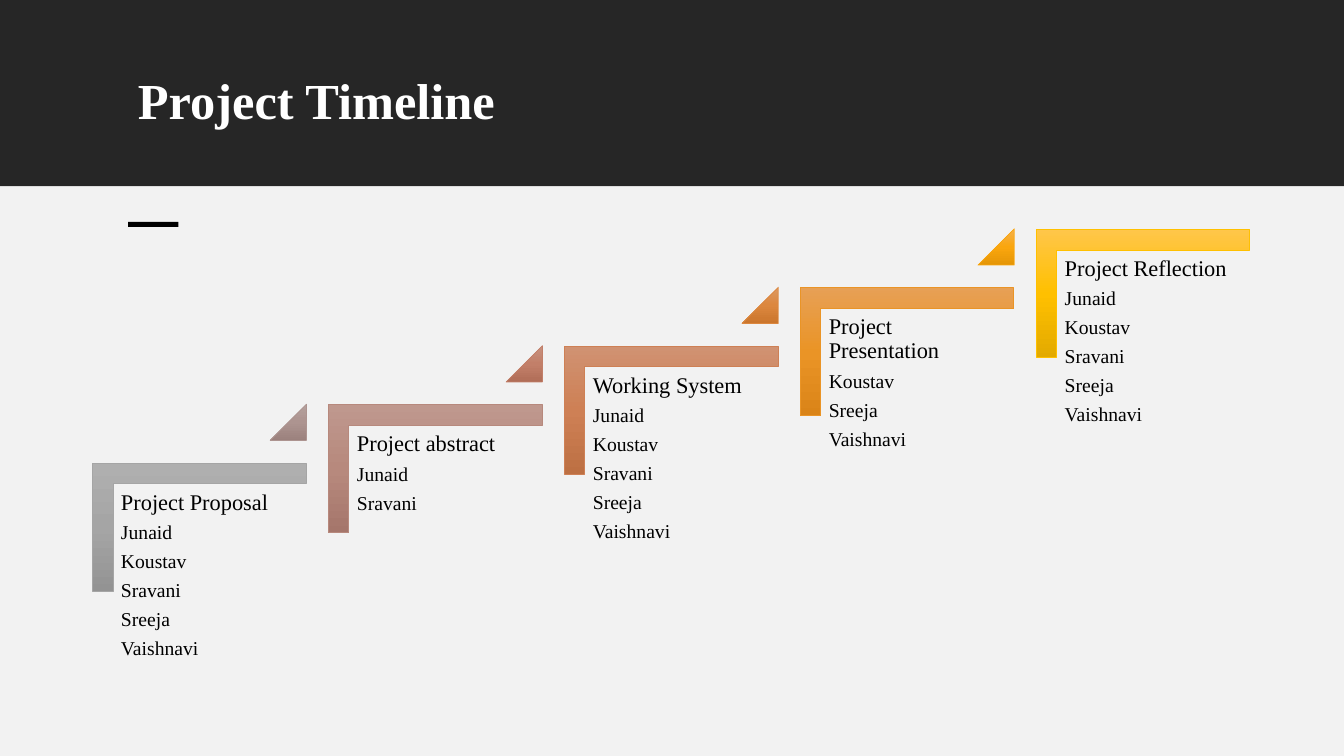
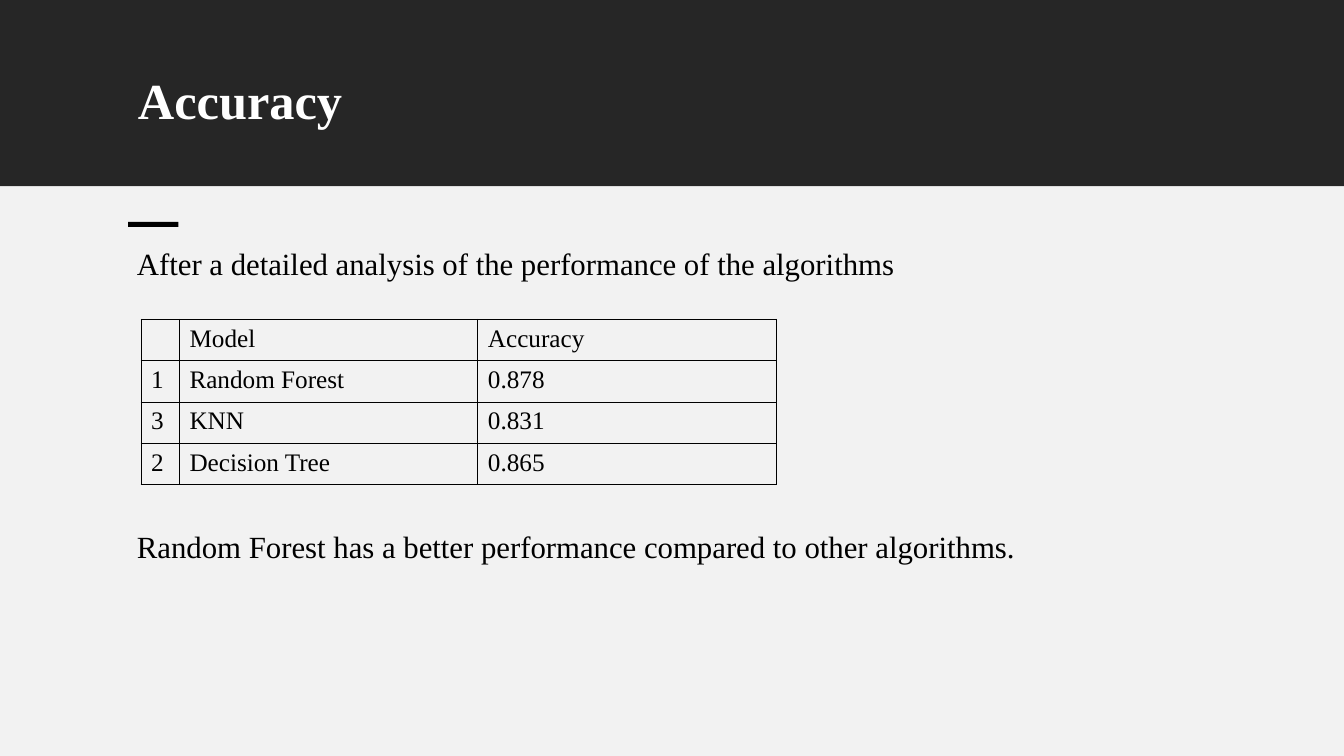
from lxml import etree
from pptx import Presentation
from pptx import util as u
from pptx.dml import color
from pptx.enum import shapes, text
from pptx.oxml import ns, parse_xml

FONT = "Times New Roman"
BLACK, WHITE, BAND, PANEL = "000000", "FFFFFF", "262626", "F2F2F2"
WIDTH, HEIGHT, BAND_HEIGHT = 13.33, 7.5, 1.85
MARGIN = 1.27
STEP_X, STEP_Y = 2.34, -0.58


def rgb(value):
    return color.RGBColor.from_string(value)


def put_text(p, value, size=18, bold=False, fill=BLACK, line=None, after=None):
    p.line_spacing = line
    if after is not None:
        p.space_after = u.Pt(after)
    r = p.add_run()
    r.text = value
    r.font.name = FONT
    r.font.size = u.Pt(size)
    r.font.bold = bold
    r.font.color.rgb = rgb(fill)


def gradient(sp, colors):
    stops = "".join(
        f'<a:gs pos="{i * 50000}"><a:srgbClr val="{c}"/></a:gs>'
        for i, c in enumerate(colors)
    )
    sp.fill.background()
    old = sp.element.spPr.find(ns.qn("a:noFill"))
    new = parse_xml(
        f'<a:gradFill {ns.nsdecls("a")} rotWithShape="0"><a:gsLst>{stops}</a:gsLst>'
        '<a:lin ang="5400000" scaled="0"/></a:gradFill>'
    )
    sp.element.spPr.replace(old, new)


def border(cell, value, width):
    tc_pr = cell._tc.get_or_add_tcPr()
    for i, side in enumerate(("lnL", "lnR", "lnT", "lnB")):
        ln = etree.Element(ns.qn(f"a:{side}"), w=str(u.Pt(width)))
        fill = etree.SubElement(ln, ns.qn("a:solidFill"))
        etree.SubElement(fill, ns.qn("a:srgbClr"), val=value)
        tc_pr.insert(i, ln)


class Deck:
    def __init__(self):
        self.prs = Presentation()
        self.prs.slide_width = u.Inches(WIDTH)
        self.prs.slide_height = u.Inches(HEIGHT)
        self.s = None

    def slide(self, title):
        self.s = self.prs.slides.add_slide(self.prs.slide_layouts[6])
        self.rect(0, 0, WIDTH, BAND_HEIGHT, BAND)
        self.rect(0, BAND_HEIGHT, WIDTH, HEIGHT - BAND_HEIGHT, PANEL)
        self.rect(MARGIN, 2.2, 0.5, 0.05, BLACK)
        self.text(MARGIN, 0.7, 10.81, 0.98, [(title, 36)], bold=True, fill=WHITE)

    def shape(self, kind, x, y, w, h):
        sp = self.s.shapes.add_shape(kind, *map(u.Inches, (x, y, w, h)))
        sp.shadow.inherit = False
        return sp

    def rect(self, x, y, w, h, fill):
        sp = self.shape(shapes.MSO_SHAPE.RECTANGLE, x, y, w, h)
        sp.fill.solid()
        sp.fill.fore_color.rgb = rgb(fill)
        sp.line.fill.background()

    def shaded(self, kind, x, y, w, h, colors, adjust, turn=0):
        sp = self.shape(kind, x, y, w, h)
        for i, value in enumerate(adjust):
            sp.adjustments[i] = value
        sp.rotation = turn
        gradient(sp, colors)
        sp.line.color.rgb = rgb(colors[1])
        sp.line.width = u.Pt(0.5)

    def text(self, x, y, w, h, lines, inset=(0.1, 0.05), **style):
        tf = self.s.shapes.add_textbox(*map(u.Inches, (x, y, w, h))).text_frame
        tf.word_wrap = True
        tf.vertical_anchor = text.MSO_ANCHOR.TOP
        tf.margin_left = tf.margin_right = u.Inches(inset[0])
        tf.margin_top = tf.margin_bottom = u.Inches(inset[1])
        for i, (value, size) in enumerate(lines):
            p = tf.add_paragraph() if i else tf.paragraphs[0]
            put_text(p, value, size, line=0.9, **style)

    def step(self, x, y, heading, names, colors, arrow):
        self.shaded(shapes.MSO_SHAPE.CORNER, x, y, 1.27, 2.12, colors, (0.161, 0.161), 90)
        lines = [(heading, 16)] + [(name, 14) for name in names]
        self.text(x - 0.21, y + 0.63, 1.91, 1.68, lines, (0.07, 0.07), after=5.5)
        if arrow:
            self.shaded(shapes.MSO_SHAPE.ISOSCELES_TRIANGLE, x + 1.34, y - 0.16,
                        0.36, 0.36, arrow, (1,))

    def table(self, x, y, widths, row_height, rows):
        frame = self.s.shapes.add_table(
            len(rows), len(widths),
            *map(u.Inches, (x, y, sum(widths), row_height * len(rows))))
        table = frame.table
        table.first_row = table.horz_banding = False
        for column, width in zip(table.columns, widths):
            column.width = u.Inches(width)
        for i, row in enumerate(rows):
            for j, value in enumerate(row):
                cell = table.cell(i, j)
                cell.fill.background()
                border(cell, BLACK, 1)
                if value:
                    put_text(cell.text_frame.paragraphs[0], value)


def main():
    deck = Deck()
    deck.slide("Project Timeline")
    team = ["Junaid", "Koustav", "Sravani", "Sreeja", "Vaishnavi"]
    steps = [
        ("Project Proposal", team,
         ("AFAFAF", "A5A5A5", "939393"), ("B5A19E", "AD9490", "9B817D")),
        ("Project abstract", ["Junaid", "Sravani"],
         ("BF988E", "B7897D", "A5766B"), ("C7917E", "C27F69", "B16E58")),
        ("Working System", team,
         ("D09272", "CE8055", "BD7043"), ("DC9860", "DC873E", "CB762D")),
        ("Project Presentation", ["Koustav", "Sreeja", "Vaishnavi"],
         ("E7A055", "EA9426", "DA8418"), ("F5B14C", "FAA60E", "E59606")),
        ("Project Reflection", team,
         ("FFC64A", "FFC000", "E3AA00"), None),
    ]
    for i, step in enumerate(steps):
        deck.step(1.34 + i * STEP_X, 4.17 + i * STEP_Y, *step)

    deck.slide("Accuracy")
    remarks = [
        (2.42, "After a detailed analysis of the performance of the algorithms"),
        (5.23, "Random Forest has a better performance compared to other algorithms."),
    ]
    for y, remark in remarks:
        deck.text(1.26, y, 10.81, 0.45, [(remark, 22)])
    deck.table(1.4, 3.17, (0.38, 2.96, 2.96), 0.41, [
        ("", "Model", "Accuracy"),
        ("1", "Random Forest", "0.878"),
        ("3", "KNN", "0.831"),
        ("2", "Decision Tree", "0.865"),
    ])
    deck.prs.save("out.pptx")


if __name__ == "__main__":
    main()
